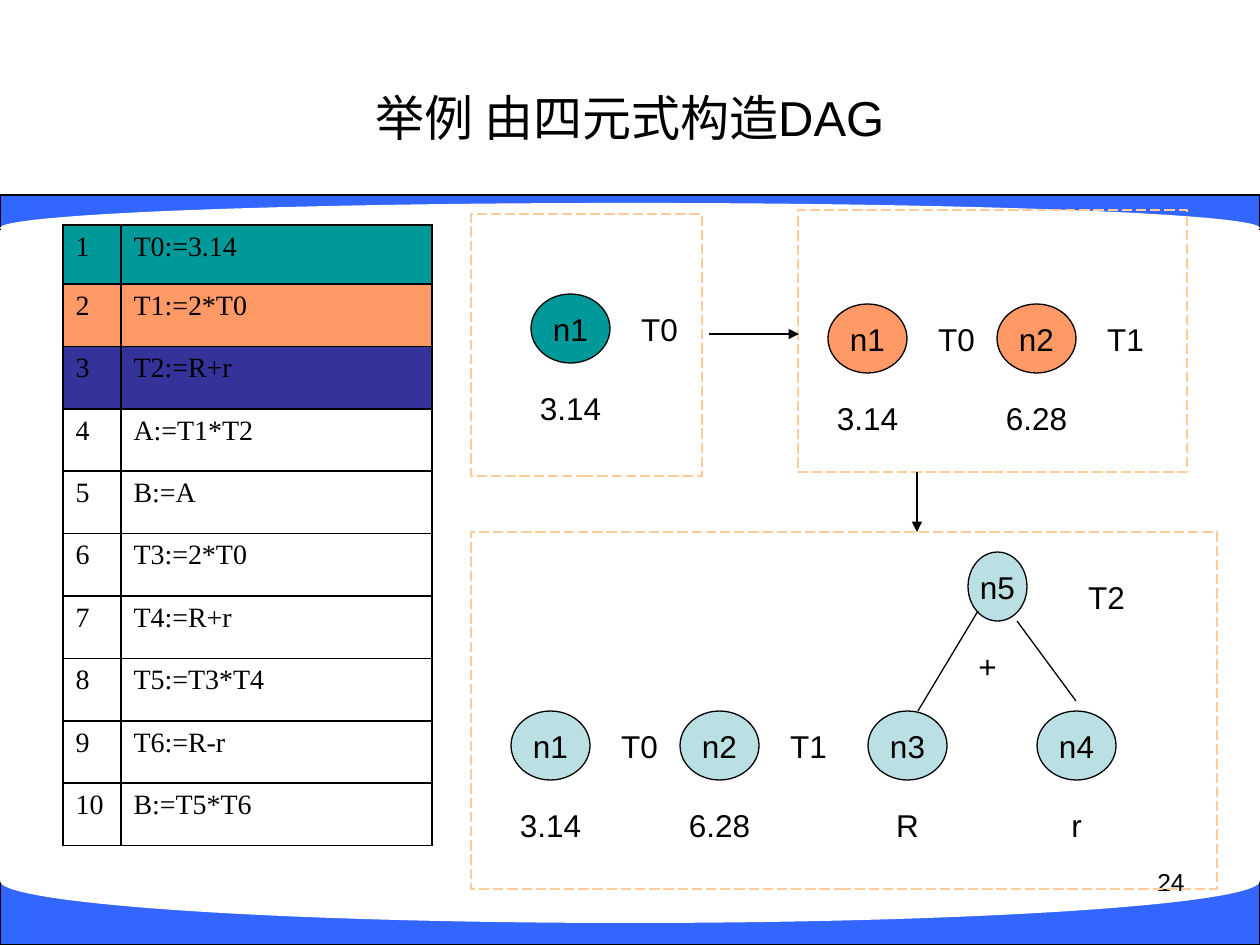
from lxml import etree
from pptx import Presentation
from pptx.dml.color import RGBColor
from pptx.enum.dml import MSO_LINE
from pptx.enum.shapes import MSO_CONNECTOR, MSO_SHAPE
from pptx.enum.text import MSO_ANCHOR, PP_ALIGN
from pptx.oxml.ns import qn
from pptx.util import Emu, Pt

RECTANGLE, OVAL = MSO_SHAPE.RECTANGLE, MSO_SHAPE.OVAL
STRAIGHT, LONG_DASH = MSO_CONNECTOR.STRAIGHT, MSO_LINE.LONG_DASH
CENTER, LEFT, RIGHT = PP_ALIGN.CENTER, PP_ALIGN.LEFT, PP_ALIGN.RIGHT
MIDDLE = MSO_ANCHOR.MIDDLE

BLACK = RGBColor(0x00, 0x00, 0x00)
WHITE = RGBColor(0xFF, 0xFF, 0xFF)
BLUE = RGBColor(0x33, 0x66, 0xFF)
TEAL = RGBColor(0x00, 0x99, 0x99)
ORANGE = RGBColor(0xFF, 0x99, 0x66)
INDIGO = RGBColor(0x33, 0x33, 0x99)
PALE_BLUE = RGBColor(0xBB, 0xE0, 0xE3)
PEACH = RGBColor(0xFF, 0xCC, 0x99)

SANS, SERIF = "Arial", "Times New Roman"
NODE_WIDTH, NODE_HEIGHT, LABEL_HEIGHT = 79, 69, 49
QUADRUPLES = ["T0:=3.14", "T1:=2*T0", "T2:=R+r", "A:=T1*T2", "B:=A",
              "T3:=2*T0", "T4:=R+r", "T5:=T3*T4", "T6:=R-r", "B:=T5*T6"]
ROW_FILLS = [TEAL, ORANGE, INDIGO]


def px(*lengths):
    """Turn pixel lengths into EMU."""
    return [Emu(round(length * 914400 / 126)) for length in lengths]


def write(frame, text, size, font=SANS, align=CENTER):
    """Set one paragraph of black text and return it."""
    frame.text = text
    para = frame.paragraphs[0]
    para.alignment = align
    para.font.size = Pt(size)
    para.font.name = font
    para.font.color.rgb = BLACK
    return para


def write_centred(frame, text):
    """Set unwrapped text in the middle, using the full width of its shape."""
    frame.word_wrap = False
    frame.vertical_anchor = MIDDLE
    frame.margin_left = frame.margin_right = 0
    write(frame, text, 18)


def add_figure(shapes, kind, box, fill=None, line=None):
    """Add a preset shape without shadow."""
    figure = shapes.add_shape(kind, *px(*box))
    figure.shadow.inherit = False
    if fill is None:
        figure.fill.background()
    else:
        figure.fill.solid()
        figure.fill.fore_color.rgb = fill
    if line is None:
        figure.line.fill.background()
    else:
        figure.line.color.rgb = line
        figure.line.width = Pt(0.75)
    return figure


def add_line(page, start, end, arrow=False):
    """Add a thin black line, with an arrowhead at its end on request."""
    line = page.shapes.add_connector(STRAIGHT, *px(*start, *end))
    line.line.color.rgb = BLACK
    line.line.width = Pt(0.75)
    properties = line.line._get_or_add_ln()
    if arrow:
        etree.SubElement(properties, qn("a:tailEnd"), type="triangle")
    etree.SubElement(properties.getparent(), qn("a:effectLst"))


def add_label(page, left, top, text):
    """Add a centred label as wide as a node."""
    box = page.shapes.add_textbox(*px(left, top, NODE_WIDTH, LABEL_HEIGHT))
    write_centred(box.text_frame, text)


def add_node(page, left, top, name, fill, value=None, tag=None, width=NODE_WIDTH):
    """Add a DAG node with its value below and its variable at the right."""
    node = add_figure(page.shapes, OVAL, (left, top, width, NODE_HEIGHT), fill, BLACK)
    write_centred(node.text_frame, name)
    if value:
        add_label(page, left, top + 89, value)
    if tag:
        add_label(page, left + 89, top + 10, tag)


def add_panel(page, box, node_top, fill, nodes):
    """Add a dashed panel holding a row of nodes."""
    left, top = box[:2]
    for offset, name, value, tag in nodes:
        add_node(page, left + offset, top + node_top, name, fill, value, tag)
    panel = add_figure(page.shapes, RECTANGLE, box, line=PEACH)
    panel.line.dash_style = LONG_DASH


def add_sum_tree(page, left, top):
    """Add the parent node of R + r with its two edges."""
    add_node(page, left + 20, top, "n5", PALE_BLUE, width=59)
    add_label(page, left + 119, top + 20, "T2")
    add_label(page, left, top + 89, "+")
    add_line(page, (left + 30, top + 59), (left - 30, top + 159))
    add_line(page, (left + 69, top + 69), (left + 128, top + 149))


def add_band(page, rectangle, oval):
    """Add a blue band cut by a white oval."""
    band = page.shapes.add_group_shape()
    add_figure(band.shapes, RECTANGLE, rectangle, BLUE, BLACK)
    add_figure(band.shapes, OVAL, oval, WHITE)


def add_borders(cell):
    """Draw black borders on all four sides of a cell."""
    properties = cell._tc.get_or_add_tcPr()
    for index, side in enumerate(("lnL", "lnR", "lnT", "lnB")):
        border = etree.Element(qn(f"a:{side}"), w=str(Pt(1)))
        fill = etree.SubElement(border, qn("a:solidFill"))
        etree.SubElement(fill, qn("a:srgbClr"), val=str(BLACK))
        properties.insert(index, border)


def add_quadruples(page, left, top, width, height):
    """Add the numbered table of quadruples."""
    count = len(QUADRUPLES)
    table = page.shapes.add_table(count, 2, *px(left, top, width, height)).table
    table.first_row = table.horz_banding = False
    table.columns[0].width, table.columns[1].width = px(58, width - 58)
    first_height = 59
    other_height = (height - first_height) / (count - 1)
    for index, quadruple in enumerate(QUADRUPLES):
        table.rows[index].height = px(other_height if index else first_height)[0]
        for column, text in enumerate((str(index + 1), quadruple)):
            cell = table.cell(index, column)
            if index < len(ROW_FILLS):
                cell.fill.solid()
                cell.fill.fore_color.rgb = ROW_FILLS[index]
            else:
                cell.fill.background()
            add_borders(cell)
            para = write(cell.text_frame, text, 16, SERIF, LEFT)
            indent = para._p.get_or_add_pPr()
            indent.set("marL", "342900")
            indent.set("indent", "-342900")


def add_title(page, box, text):
    """Place and format the title placeholder."""
    title = page.shapes.title
    title.left, title.top, title.width, title.height = px(*box)
    title.text_frame.vertical_anchor = MIDDLE
    write(title.text_frame, text, 28)


def add_page_number(page, box, number):
    """Add the page number at the lower right."""
    corner = page.shapes.add_textbox(*px(*box))
    corner.text_frame.word_wrap = True
    write(corner.text_frame, number, 14, align=RIGHT)


def main():
    """Build the slide and save the deck."""
    deck = Presentation()
    deck.slide_width, deck.slide_height = px(1260, 945)
    page = deck.slides.add_slide(deck.slide_layouts[5])
    add_band(page, (0, 195, 1260, 34), (0, 203, 1260, 50))
    add_band(page, (0, 881, 1260, 64), (0, 839, 1260, 84))
    add_title(page, (63, 38, 1134, 157), "举例 由四元式构造DAG")
    add_quadruples(page, 63, 225, 369, 621)
    add_page_number(page, (903, 861, 294, 66), "24")

    first, second = ("n1", "3.14", "T0"), ("n2", "6.28", "T1")
    add_panel(page, (471, 214, 231, 262), 80, TEAL, [(60, *first)])
    add_panel(page, (798, 210, 389, 262), 94, ORANGE, [(30, *first), (199, *second)])
    add_panel(page, (471, 532, 746, 357), 179, PALE_BLUE,
              [(40, *first), (209, *second), (397, "n3", "R", None), (566, "n4", "r", None)])
    add_sum_tree(page, 948, 552)
    add_line(page, (709, 334), (799, 334), arrow=True)
    add_line(page, (917, 472), (917, 532), arrow=True)
    deck.save("out.pptx")


if __name__ == "__main__":
    main()
